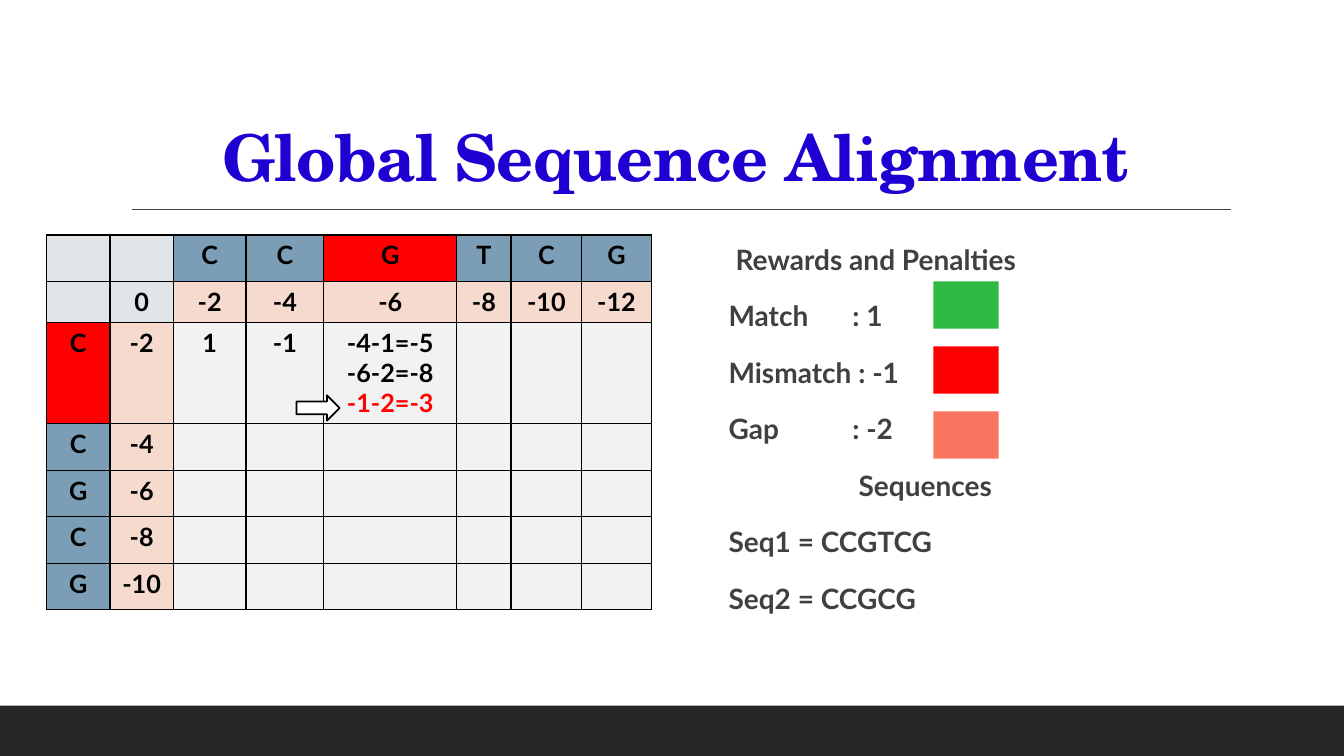
from lxml.etree import SubElement
from pptx import Presentation
from pptx.dml.color import RGBColor
from pptx.enum.shapes import MSO_CONNECTOR, MSO_SHAPE
from pptx.enum.text import MSO_ANCHOR, MSO_AUTO_SIZE, PP_ALIGN
from pptx.oxml import parse_xml
from pptx.oxml.ns import nsdecls, qn
from pptx.util import Cm, Pt

TITLE_FONT, BODY_FONT = "TeX Gyre Schola", "Lato"
BLACK, RED, DARK_GREY = "000000", "FF0000", "404040"
HEADER, CORNER, GAP, EMPTY = "7B9EB6", "E2E5E8", "F6DACE", "F2F2F2"
SEQ1, SEQ2 = "CCGTCG", "CCGCG"
GAP_PENALTY = -2
CURRENT_ROW, CURRENT_COLUMN = 2, 4
SCORES = {(2, 2): "1", (2, 3): "-1", (2, 4): "-4-1=-5\n-6-2=-8\n-1-2=-3"}
COLUMN_WIDTHS = [1.6, 1.6, 1.83, 1.96, 3.35, 1.37, 1.78, 1.75]
ROW_HEIGHTS = [1.17, 1.02, 2.56] + [1.17] * 4


def color(value):
    return RGBColor.from_string(value)


def style_runs(paragraph, name, size, value):
    for span in paragraph.runs:
        span.font.name = name
        span.font.size = Pt(size)
        span.font.bold = True
        span.font.color.rgb = color(value)


def add_filled_shape(page, kind, box, fill, line=None):
    shape = page.shapes.add_shape(kind, *map(Cm, box))
    shape.shadow.inherit = False
    shape.fill.solid()
    shape.fill.fore_color.rgb = color(fill)
    if line:
        shape.line.color.rgb = color(line)
        shape.line.width = Pt(1.25)
    else:
        shape.line.fill.background()


def add_frame(page, deck):
    """Draw the footer bar and the rule below the title."""
    bar = (0, 17.78, deck.slide_width.cm, 1.27)
    add_filled_shape(page, MSO_SHAPE.RECTANGLE, bar, "262626")
    rule = page.shapes.add_connector(
        MSO_CONNECTOR.STRAIGHT, Cm(3.33), Cm(5.28), Cm(31.01), Cm(5.28))
    rule.line.color.rgb = color(DARK_GREY)
    rule.line.width = Pt(1)
    SubElement(rule._element.spPr, qn("a:effectLst"))


def set_title(page, box, text):
    title = page.shapes.title
    title.left, title.top, title.width, title.height = map(Cm, box)
    frame = title.text_frame
    frame.text = text
    frame.word_wrap = True
    frame.auto_size = MSO_AUTO_SIZE.NONE
    frame.vertical_anchor = MSO_ANCHOR.MIDDLE
    paragraph = frame.paragraphs[0]
    paragraph.alignment = PP_ALIGN.CENTER
    paragraph.line_spacing = 0.9
    style_runs(paragraph, TITLE_FONT, 46, "1E00D2")
    paragraph.runs[0].font._element.set("spc", "-50")


def cell_text(row, column):
    if row == 0:
        return SEQ1[column - 2] if column > 1 else ""
    if column == 0:
        return SEQ2[row - 2] if row > 1 else ""
    if row == 1 or column == 1:
        return str(GAP_PENALTY * (row + column - 2))
    return SCORES.get((row, column), "")


def cell_fill(row, column):
    if row < 2 and column < 2:
        return CORNER
    if (row, column) in ((0, CURRENT_COLUMN), (CURRENT_ROW, 0)):
        return RED
    if row == 0 or column == 0:
        return HEADER
    return GAP if row == 1 or column == 1 else EMPTY


def add_borders(cell):
    properties = cell._tc.get_or_add_tcPr()
    for index, side in enumerate("LRTB"):
        properties.insert(index, parse_xml(
            f'<a:ln{side} {nsdecls("a")} w="12700"><a:solidFill>'
            f'<a:srgbClr val="{BLACK}"/></a:solidFill></a:ln{side}>'))


def add_score_matrix(page, left, top):
    table = page.shapes.add_table(
        len(ROW_HEIGHTS), len(COLUMN_WIDTHS), Cm(left), Cm(top),
        Cm(sum(COLUMN_WIDTHS)), Cm(sum(ROW_HEIGHTS))).table
    for column, width in zip(table.columns, COLUMN_WIDTHS):
        column.width = Cm(width)
    for row_index, height in enumerate(ROW_HEIGHTS):
        table.rows[row_index].height = Cm(height)
        for column_index in range(len(COLUMN_WIDTHS)):
            cell = table.cell(row_index, column_index)
            cell.text_frame.text = cell_text(row_index, column_index)
            cell.fill.solid()
            cell.fill.fore_color.rgb = color(cell_fill(row_index, column_index))
            add_borders(cell)
            for paragraph in cell.text_frame.paragraphs:
                paragraph.alignment = PP_ALIGN.CENTER
                style_runs(paragraph, BODY_FONT, 18, BLACK)
    best = table.cell(CURRENT_ROW, CURRENT_COLUMN).text_frame.paragraphs[-1]
    style_runs(best, BODY_FONT, 18, RED)
    add_filled_shape(page, MSO_SHAPE.RIGHT_ARROW,
                     (left + 6.3, top + 4.04, 1.09, 0.64), "FFFFFF", BLACK)


def add_scoring_notes(page, left, top, width, height):
    """List the scoring rules and sequences, with a colour swatch per rule."""
    notes = [("Rewards and Penalties", 0.43), ("Match\t: 1", 0.25),
             ("Mismatch : -1", 0.25), ("Gap\t: -2", 0.25), ("Sequences", 3.53),
             (f"Seq1 = {SEQ1}", 0.25), (f"Seq2 = {SEQ2}", 0.25)]
    box = page.shapes.add_textbox(Cm(left), Cm(top), Cm(width), Cm(height))
    frame = box.text_frame
    frame.word_wrap = True
    frame.margin_left = frame.margin_right = 0
    frame.text = "\n".join(text for text, indent in notes)
    for index, (paragraph, (text, indent)) in enumerate(zip(frame.paragraphs, notes)):
        properties = paragraph._p.get_or_add_pPr()
        properties.set("marL", str(Cm(indent)))
        if "\t" in text:
            stops = SubElement(properties, qn("a:tabLst"))
            SubElement(stops, qn("a:tab"), pos=str(Cm(3.12)), algn="l")
        paragraph.line_spacing = 1.1
        paragraph.space_before = Pt(12 if index else 0)
        paragraph.space_after = Pt(2)
        style_runs(paragraph, BODY_FONT, 20, DARK_GREY)
    for index, fill in enumerate(("2EBA43", RED, "FA7660")):
        swatch = (left + 5.41, top + 1.2 + 1.64 * index, 1.65, 1.19)
        add_filled_shape(page, MSO_SHAPE.RECTANGLE, swatch, fill)


def main():
    deck = Presentation()
    deck.slide_width, deck.slide_height = Cm(33.87), Cm(19.05)
    page = deck.slides.add_slide(deck.slide_layouts.get_by_name("Title Only"))
    add_frame(page, deck)
    set_title(page, (3.05, 2.03, 27.94, 4.04), "Global Sequence Alignment")
    add_score_matrix(page, 1.17, 5.92)
    add_scoring_notes(page, 18.11, 5.89, 12.88, 10.41)
    deck.save("out.pptx")


if __name__ == "__main__":
    main()
